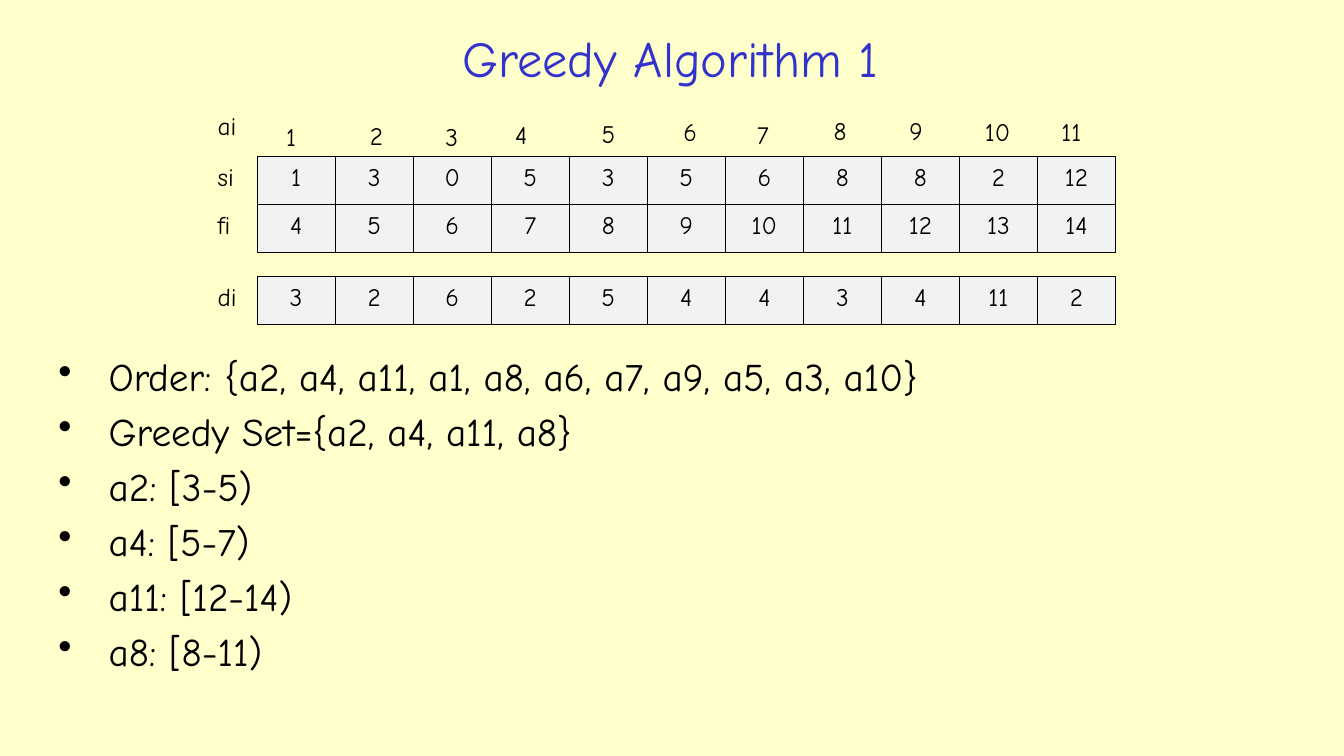
"""Build the slide on the first greedy algorithm for activity selection."""
from lxml.etree import SubElement
from pptx import Presentation
from pptx.dml.color import RGBColor
from pptx.enum.shapes import MSO_SHAPE as Shape
from pptx.enum.text import MSO_ANCHOR as Anchor, PP_ALIGN as Align
from pptx.oxml.ns import qn
from pptx.util import Inches, Pt

COLORS = {"paper": "FFFFCC", "title": "3333CC", "cell": "F2F2F2", "ink": "000000"}
FONT = "Comic Neue"

GRID_LEFT, COLUMN, ROW = 2.55, 0.774, 0.48
LABEL_LEFT, LABEL_WIDTH, LABEL_HEIGHT = 2.06, 0.4, 0.4
BULLET_MARGIN, BULLET_HANG = 0.56, 0.5

ROWS = [
    ("si", 1.55, [1, 3, 0, 5, 3, 5, 6, 8, 8, 2, 12]),
    ("fi", 1.55 + ROW, [4, 5, 6, 7, 8, 9, 10, 11, 12, 13, 14]),
    ("di", 2.74, [3, 2, 6, 2, 5, 4, 4, 3, 4, 11, 2]),
]
HEADINGS = [
    (2.74, 1.15, 0.32), (3.57, 1.14, 0.36), (4.32, 1.15, 0.36), (5.01, 1.13, 0.36),
    (5.87, 1.12, 0.36), (6.68, 1.10, 0.36), (7.41, 1.13, 0.36), (8.17, 1.09, 0.36),
    (8.92, 1.09, 0.36), (9.67, 1.10, 0.47), (10.43, 1.11, 0.43),
]
BULLETS = [
    "Order: {a2, a4, a11, a1, a8, a6, a7, a9, a5, a3, a10}",
    "Greedy Set={a2, a4, a11, a8}",
    "a2: [3-5)",
    "a4: [5-7)",
    "a11: [12-14)",
    "a8: [8-11)",
]

presentation = Presentation()
presentation.slide_width, presentation.slide_height = Inches(13.33), Inches(7.5)
slide = presentation.slides.add_slide(presentation.slide_layouts[6])
slide.background.fill.solid()
slide.background.fill.fore_color.rgb = RGBColor.from_string(COLORS["paper"])


def add_text(text, left, top, width, height, size=18, color="ink", align=Align.LEFT,
             anchor=Anchor.TOP, wrap=False, boxed=False):
    box = [Inches(length) for length in (left, top, width, height)]
    if boxed:
        shape = slide.shapes.add_shape(Shape.RECTANGLE, *box)
        shape.shadow.inherit = False
        shape.fill.solid()
        shape.fill.fore_color.rgb = RGBColor.from_string(COLORS["cell"])
        shape.line.color.rgb = RGBColor.from_string(COLORS["ink"])
        shape.line.width = Pt(0.75)
    else:
        shape = slide.shapes.add_textbox(*box)
    frame = shape.text_frame
    frame.text = text
    frame.word_wrap = wrap
    frame.vertical_anchor = anchor
    for paragraph in frame.paragraphs:
        paragraph.alignment = align
        font = paragraph.runs[0].font
        font.name, font.size = FONT, Pt(size)
        font.color.rgb = RGBColor.from_string(COLORS[color])
    return shape


add_text("Greedy Algorithm 1", 1.76, 0.19, 9.78, 0.76, size=36, color="title",
         align=Align.CENTER, anchor=Anchor.MIDDLE, wrap=True)

add_text("ai", LABEL_LEFT, 1.05, LABEL_WIDTH, LABEL_HEIGHT)
for number, (left, top, width) in enumerate(HEADINGS, start=1):
    add_text(str(number), left, top, width, LABEL_HEIGHT)

for label, top, values in ROWS:
    add_text(label, LABEL_LEFT, top, LABEL_WIDTH, LABEL_HEIGHT)
    for index, value in enumerate(values):
        add_text(str(value), GRID_LEFT + index * COLUMN, top, COLUMN, ROW,
                 align=Align.CENTER, wrap=True, boxed=True)

bullet_list = add_text("\n".join(BULLETS), 0.42, 3.45, 12.56, 3.64, size=28, wrap=True)
for paragraph in bullet_list.text_frame.paragraphs:
    properties = paragraph._p.get_or_add_pPr()
    properties.set("marL", str(Inches(BULLET_MARGIN)))
    properties.set("indent", str(-Inches(BULLET_HANG)))
    spacing = SubElement(properties, qn("a:spcBef"))
    SubElement(spacing, qn("a:spcPct")).set("val", "20000")
    SubElement(properties, qn("a:buChar")).set("char", "•")

presentation.save("out.pptx")
